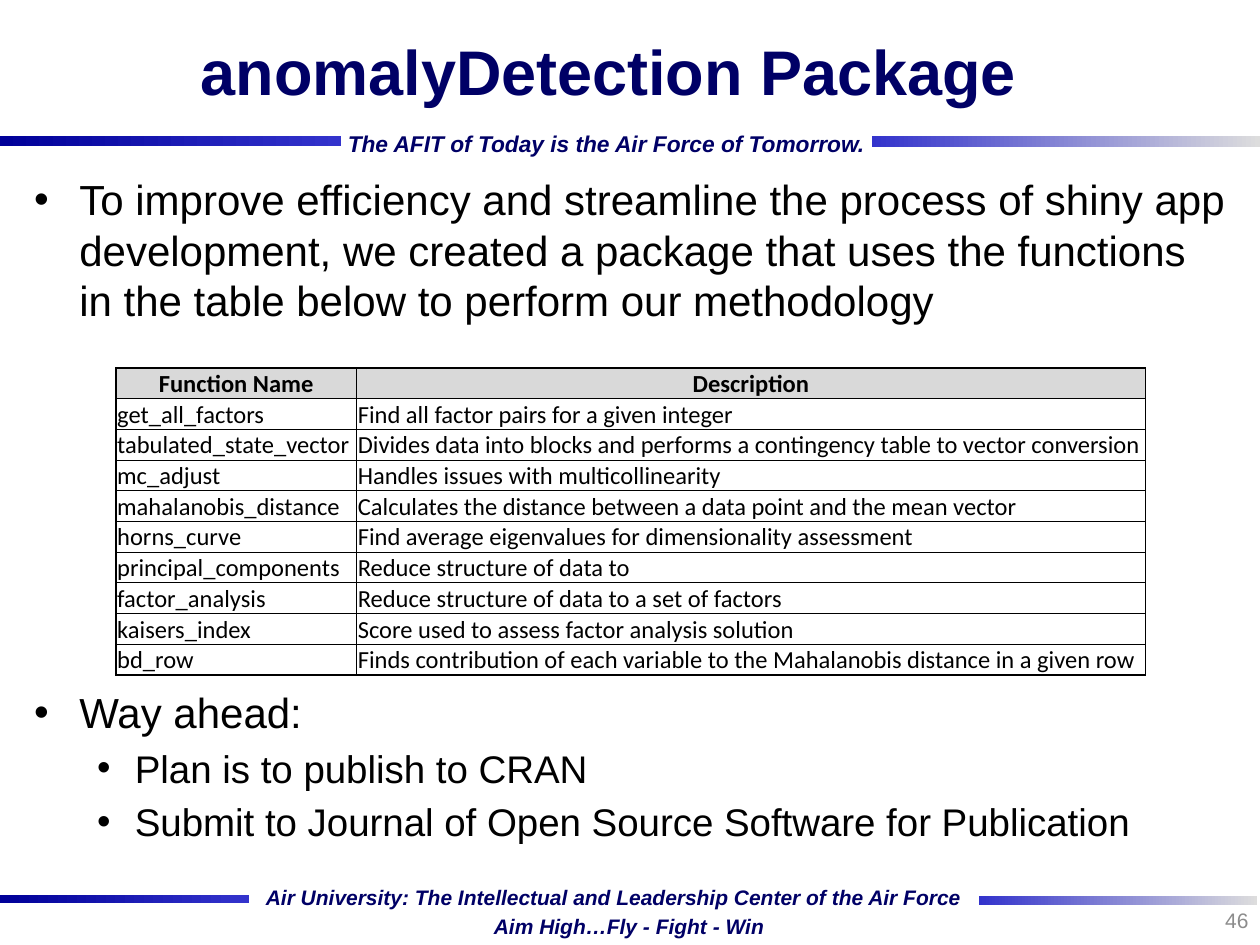
from lxml.etree import SubElement
from pptx import Presentation
from pptx.dml.color import RGBColor
from pptx.enum.shapes import MSO_SHAPE
from pptx.enum.text import MSO_ANCHOR as ANCHOR, MSO_AUTO_SIZE as AUTO, PP_ALIGN as ALIGN
from pptx.oxml import parse_xml
from pptx.oxml.ns import nsdecls, qn
from pptx.util import Inches, Pt

NAVY, BLACK, GREY = "000066", "000000", "8C8C8C"
DARK, MID, PALE = "000099", "3333CC", "DDDDDD"
TITLE = "anomalyDetection Package"
BULLETS = [
    ("To improve efficiency and streamline the process of shiny app development, "
     "we created a package that uses the functions in the table below to perform "
     "our methodology", 0, 0),
    ("Way ahead:", 0, 206.5),
    ("Plan is to publish to CRAN", 1, 4.4),
    ("Submit to Journal of Open Source Software for Publication", 1, 4.4),
]
LEVELS = [(24, 0.36, -0.36), (22, 0.8, -0.3)]
BARS = [
    (0, 7.1, 1.98, 0.07, DARK, MID),
    (7.77, 7.11, 2.21, 0.07, MID, PALE),
    (6.92, 1.08, 3.08, 0.09, MID, PALE),
    (0, 1.08, 2.71, 0.08, DARK, MID),
]
MOTTOS = [
    ("Air University: The Intellectual and Leadership Center of the Air Force",
     (2.02, 6.98, 5.76, 0.29), 12),
    ("Aim High…Fly - Fight - Win", (3.83, 7.21, 2.36, 0.29), 12),
    ("The AFIT of Today is the Air Force of Tomorrow.", (2.67, 0.99, 4.35, 0.31), 13),
]
FUNCTIONS = [
    ("Function Name", "Description"),
    ("get_all_factors", "Find all factor pairs for a given integer"),
    ("tabulated_state_vector",
     "Divides data into blocks and performs a contingency table to vector conversion"),
    ("mc_adjust", "Handles issues with multicollinearity"),
    ("mahalanobis_distance", "Calculates the distance between a data point and the mean vector"),
    ("horns_curve", "Find average eigenvalues for dimensionality assessment"),
    ("principal_components", "Reduce structure of data to"),
    ("factor_analysis", "Reduce structure of data to a set of factors"),
    ("kaisers_index", "Score used to assess factor analysis solution"),
    ("bd_row", "Finds contribution of each variable to the Mahalanobis distance in a given row"),
]
COL_WIDTHS, TABLE_HEIGHT = (1.91, 6.26), 2.44


def rgb(value):
    """Turn a hex string into a colour."""
    return RGBColor.from_string(value)


def write(p, text, size=12, color=BLACK, font="Arial", bold=False, italic=False,
          align=ALIGN.LEFT):
    """Put one formatted run into a paragraph."""
    p.alignment = align
    r = p.add_run()
    r.text = text
    f = r.font
    f.size, f.name, f.bold, f.italic = Pt(size), font, bold, italic
    f.color.rgb = rgb(color)


def place(s, left, top, width, height):
    """Move and size a shape, in inches."""
    s.left, s.top, s.width, s.height = map(Inches, (left, top, width, height))


def add_bar(slide, left, top, width, height, start, end):
    """Draw a bar with a left-to-right gradient."""
    s = slide.shapes.add_shape(MSO_SHAPE.RECTANGLE,
                               *map(Inches, (left, top, width, height)))
    s.shadow.inherit = False
    s.line.fill.background()
    s.fill.gradient()
    s.fill.gradient_angle = 0
    for stop, color, position in zip(s.fill.gradient_stops, (start, end), (0, 1)):
        stop.color.rgb, stop.position = rgb(color), position


def add_text(slide, text, box, anchor=ANCHOR.TOP, fit=AUTO.NONE, **fmt):
    """Add a text box holding one line."""
    tf = slide.shapes.add_textbox(*map(Inches, box)).text_frame
    tf.word_wrap, tf.auto_size, tf.vertical_anchor = False, fit, anchor
    tf.margin_left = tf.margin_right = Inches(0.09)
    tf.margin_top = tf.margin_bottom = Inches(0.04)
    write(tf.paragraphs[0], text, **fmt)


def add_bullets(body):
    """Fill the body placeholder with bulleted paragraphs."""
    tf = body.text_frame
    tf.auto_size = AUTO.NONE
    for i, (text, level, before) in enumerate(BULLETS):
        p = tf.paragraphs[0] if i == 0 else tf.add_paragraph()
        size, margin, indent = LEVELS[level]
        p.level, p.space_before = level, Pt(before)
        pr = p._p.get_or_add_pPr()
        pr.set("marL", str(Inches(margin)))
        pr.set("indent", str(Inches(indent)))
        SubElement(pr, qn("a:buFont"), typeface="Arial")
        SubElement(pr, qn("a:buChar"), char="•")
        write(p, text, size=size)


def set_borders(cell, widths):
    """Give a cell black left, right, top and bottom borders."""
    pr = cell._tc.get_or_add_tcPr()
    for i, (side, width) in enumerate(zip("LRTB", widths)):
        pr.insert(i, parse_xml(
            f'<a:ln{side} {nsdecls("a")} w="{Pt(width)}"><a:solidFill>'
            f'<a:srgbClr val="{BLACK}"/></a:solidFill></a:ln{side}>'))


def add_functions(slide):
    """Build the table of package functions."""
    rows, cols = len(FUNCTIONS), len(COL_WIDTHS)
    table = slide.shapes.add_table(
        rows, cols, Inches(0.92), Inches(2.92),
        Inches(sum(COL_WIDTHS)), Inches(TABLE_HEIGHT)).table
    for col, width in zip(table.columns, COL_WIDTHS):
        col.width = Inches(width)
    for i, row in enumerate(FUNCTIONS):
        head = i == 0
        for j, text in enumerate(row):
            cell = table.cell(i, j)
            cell.fill.solid()
            cell.fill.fore_color.rgb = rgb("D9D9D9" if head else "FFFFFF")
            cell.vertical_anchor = ANCHOR.BOTTOM
            cell.margin_left = cell.margin_right = cell.margin_top = Inches(0.01)
            cell.margin_bottom = 0
            write(cell.text_frame.paragraphs[0], text, size=14, font="Calibri",
                  bold=head, align=ALIGN.CENTER if head else ALIGN.LEFT)
            thick = (j == 0, j == cols - 1, i <= 1, i in (0, rows - 1))
            set_borders(cell, [1 if t else 0.5 for t in thick])


def main():
    """Build and save the slide."""
    prs = Presentation()
    prs.slide_width, prs.slide_height = Inches(10), Inches(7.5)
    slide = prs.slides.add_slide(prs.slide_layouts[1])
    for bar in BARS:
        add_bar(slide, *bar)
    for text, box, size in MOTTOS:
        add_text(slide, text, box, fit=AUTO.SHAPE_TO_FIT_TEXT, size=size,
                 color=NAVY, bold=True, italic=True)
    title, body = slide.placeholders
    place(title, 0.58, 0, 8.5, 1.12)
    title.text_frame.auto_size = AUTO.NONE
    title.text_frame.vertical_anchor = ANCHOR.MIDDLE
    write(title.text_frame.paragraphs[0], TITLE, size=36, color=NAVY, bold=True,
          align=ALIGN.CENTER)
    place(body, 0.17, 1.33, 9.67, 5.58)
    add_bullets(body)
    add_text(slide, "46", (7.67, 7.1, 2.33, 0.4), anchor=ANCHOR.MIDDLE,
             color=GREY, align=ALIGN.RIGHT)
    add_functions(slide)
    prs.save("out.pptx")


if __name__ == "__main__":
    main()
